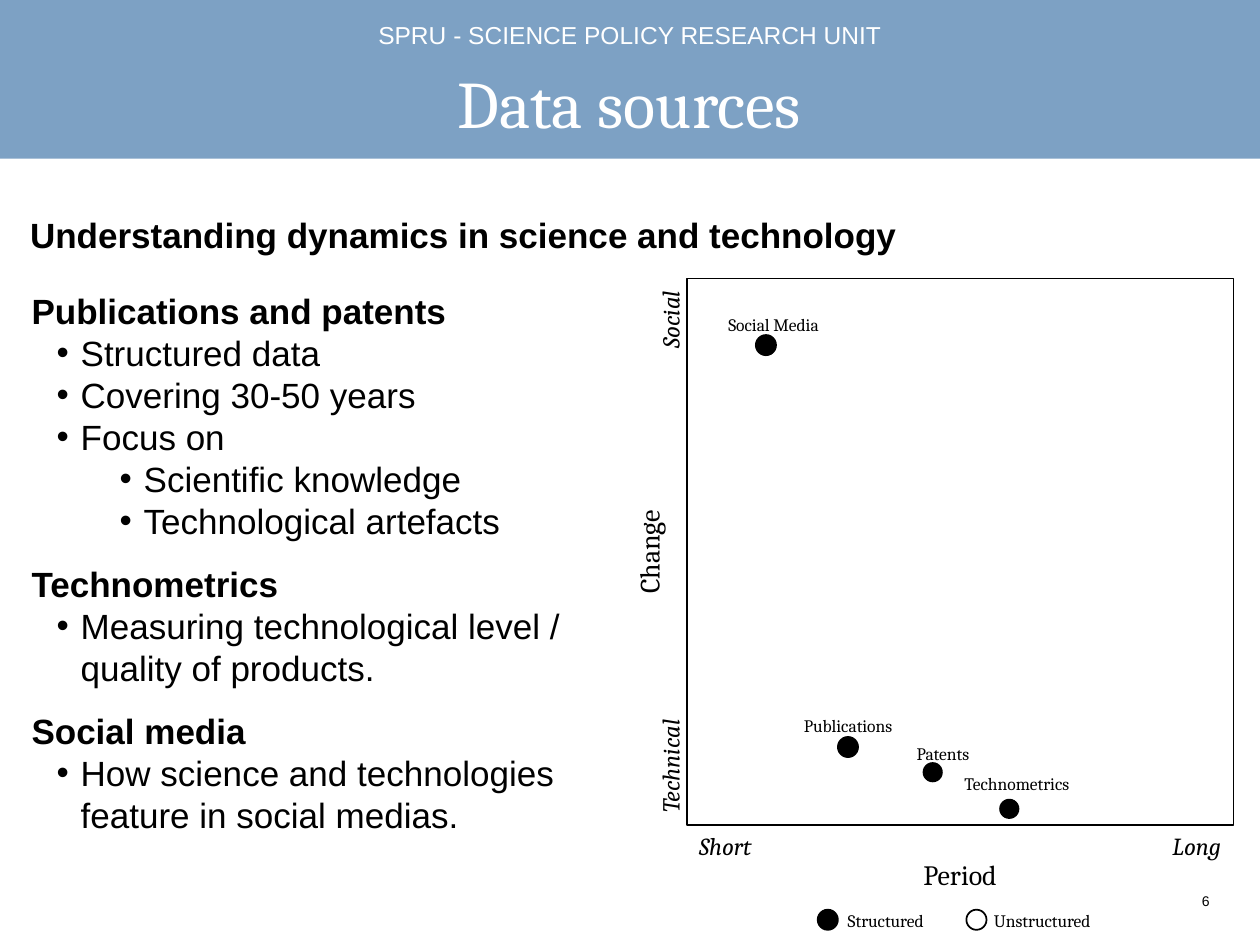
from pptx import Presentation
from pptx.dml.color import RGBColor
from pptx.enum.shapes import MSO_SHAPE as Shape
from pptx.enum.text import MSO_ANCHOR as Anchor, MSO_AUTO_SIZE as AutoSize, PP_ALIGN as Align
from pptx.oxml.ns import qn
from pptx.util import Inches, Pt

BLACK, WHITE, BLUE = "000000", "FFFFFF", "7DA1C4"
LEFT, CENTER, RIGHT = Align.LEFT, Align.CENTER, Align.RIGHT

deck = Presentation()
deck.slide_width, deck.slide_height = Inches(10), Inches(7.5)
page = deck.slides.add_slide(deck.slide_layouts[1])
shapes = page.shapes


def draw(kind, left, top, width, height, fill=None, line=None):
    shape = shapes.add_shape(kind, *map(Inches, (left, top, width, height)))
    shape.shadow.inherit = False
    for paint, color in ((shape.fill, fill), (shape.line.fill, line)):
        if color:
            paint.solid()
            paint.fore_color.rgb = RGBColor.from_string(color)
        else:
            paint.background()
    if line:
        shape.line.width = Pt(1)
    return shape


def write(box, left, top, width, height, text, size, font="Cambria", color=BLACK,
          align=LEFT, margins=(0.1, 0.05), anchor=Anchor.TOP):
    box.left, box.top, box.width, box.height = map(Inches, (left, top, width, height))
    frame = box.text_frame
    frame.text = text
    frame.word_wrap = True
    frame.auto_size = AutoSize.NONE
    frame.vertical_anchor = anchor
    frame.margin_left = frame.margin_right = Inches(margins[0])
    frame.margin_top = frame.margin_bottom = Inches(margins[1])
    for para in frame.paragraphs:
        para.alignment = align
        para.space_before = Pt(0)
        for span in para.runs:
            span.font.size = Pt(size)
            span.font.name = font
            span.font.color.rgb = RGBColor.from_string(color)
    return frame


def new_box():
    return shapes.add_textbox(0, 0, 0, 0)


# Header band, behind the title
band = draw(Shape.RECTANGLE, 0, 0, 10, 1.26, BLUE)
shapes._spTree.insert(2, band._element)
write(new_box(), 1.25, 0.16, 7.5, 0.3, "SPRU - SCIENCE POLICY RESEARCH UNIT", 14,
      "Arial", WHITE, CENTER, (0, 0))
title = write(shapes.title, 0.39, 0.46, 9.21, 0.78, "Data sources", 38,
              color=WHITE, align=CENTER, margins=(0, 0), anchor=Anchor.MIDDLE)
title.paragraphs[0].line_spacing = 0.9
write(new_box(), 9.21, 7.05, 0.39, 0.2, "6", 8, "Arial", align=RIGHT,
      margins=(0, 0), anchor=Anchor.MIDDLE)

# Left column: subtitle and list (level 0 is a heading)
subtitle = write(new_box(), 0.14, 1.68, 9.65, 0.45,
                 "Understanding dynamics in science and technology", 20, "Arial")
subtitle.paragraphs[0].line_spacing = 0.9
subtitle.paragraphs[0].runs[0].font.bold = True

items = [
    (0, "Publications and patents"),
    (1, "Structured data"),
    (1, "Covering 30-50 years"),
    (1, "Focus on"),
    (2, "Scientific knowledge"),
    (2, "Technological artefacts"),
    (0, "Technometrics"),
    (1, "Measuring technological level / quality of products."),
    (0, "Social media"),
    (1, "How science and technologies feature in social medias."),
]
body = write(page.placeholders[1], 0.14, 2.25, 4.54, 4.81,
             "\n".join(text for _, text in items), 20, "Arial")
for number, (para, (level, _)) in enumerate(zip(body.paragraphs, items)):
    props = para._p.get_or_add_pPr()
    props.set("marL", str(Inches((0.01, 0.4, 0.9)[level])))
    props.set("indent", str(Inches(-0.19 if level else 0)))
    if level:
        props.append(props.makeelement(qn("a:buFont"), {"typeface": "Arial"}))
        props.append(props.makeelement(qn("a:buChar"), {"char": "•"}))
    else:
        props.append(props.makeelement(qn("a:buNone"), {}))
        para.space_before = Pt(12 if number else 0)
    para.runs[0].font.bold = level == 0

# Square plot and its axis labels
plot_left, plot_top, side = 5.45, 2.21, 4.34
plot_bottom = plot_top + side
draw(Shape.RECTANGLE, plot_left, plot_top, side, side, line=BLACK)

middle = plot_top + side / 2
axis_labels = [  # text, size, alignment, centre x, centre y, height, rotation
    ("Change", 16, CENTER, 5.15, middle, 0.37, 270),
    ("Technical", 14, LEFT, 5.32, middle, 0.34, 270),
    ("Social", 14, RIGHT, 5.32, middle, 0.34, 270),
    ("Long", 14, RIGHT, plot_left + side / 2, plot_bottom + 0.17, 0.34, 0),
    ("Short", 14, LEFT, plot_left + side / 2, plot_bottom + 0.17, 0.34, 0),
    ("Period", 16, CENTER, plot_left + side / 2, plot_bottom + 0.39, 0.37, 0),
]
for text, size, align, x, y, height, rotation in axis_labels:
    box = new_box()
    frame = write(box, x - side / 2, y - height / 2, side, height, text, size, align=align)
    frame.paragraphs[0].runs[0].font.italic = size == 14
    box.rotation = rotation

# Data points: shares of the plot's side, label shift right and up, outline
dot = 0.16
points = [
    ("Social Media", 0.145, 0.122, 0.06, 0.3, BLACK),
    ("Publications", 0.295, 0.857, 0, 0.3, BLACK),
    ("Patents", 0.45, 0.903, 0.08, 0.28, None),
    ("Technometrics", 0.59, 0.97, 0.06, 0.33, None),
]
for text, across, down, shift, rise, outline in points:
    x, y = plot_left + across * side, plot_top + down * side
    draw(Shape.OVAL, x - dot / 2, y - dot / 2, dot, dot, BLACK, outline)
    write(new_box(), x + shift - 0.65, y - rise, 1.3, 0.2, text, 10, align=CENTER)

# Legend
for text, x, text_x, fill in (("Structured", 6.49, 6.63, BLACK),
                              ("Unstructured", 7.67, 7.79, WHITE)):
    draw(Shape.OVAL, x, 7.22, dot, dot, fill, BLACK)
    write(new_box(), text_x, 7.17, 1.1, 0.2, text, 10)

deck.save("out.pptx")
